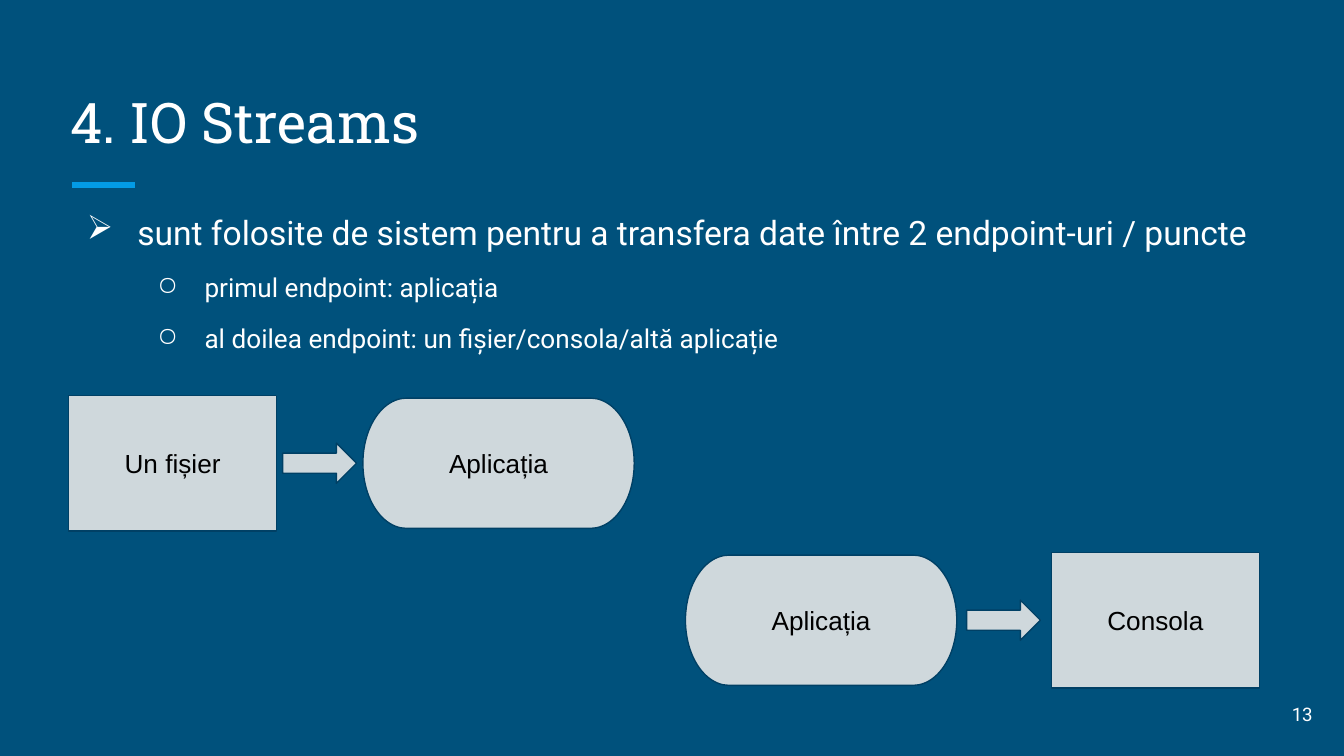
from lxml import etree
from pptx import Presentation
from pptx.dml.color import RGBColor
from pptx.enum import shapes, text
from pptx.oxml.ns import qn
from pptx.util import Pt

NAVY = RGBColor(0x00, 0x51, 0x7C)
OUTLINE = RGBColor(0x00, 0x40, 0x65)
ACCENT = RGBColor(0x03, 0x9B, 0xE5)
GREY = RGBColor(0xCF, 0xD8, 0xDC)
WHITE = RGBColor(0xFF, 0xFF, 0xFF)
BLACK = RGBColor(0, 0, 0)

TITLE = "4. IO Streams"
PAGE = "13"
# text, level, space before, space after
POINTS = [
    ("sunt folosite de sistem pentru a transfera date între 2 endpoint-uri / puncte", 0, 0, 0),
    ("primul endpoint: aplicația", 1, 8, 0),
    ("al doilea endpoint: un fișier/consola/altă aplicație", 1, 8, 8),
]
# level: bullet, size, left margin, first-line indent
LEVELS = [("➢", 18, 36, -27), ("○", 14, 72, -25.2)]

# kind: preset, width, height
KINDS = {
    "endpoint": (shapes.MSO_SHAPE.RECTANGLE, 111.6, 72.7),
    "app": (shapes.MSO_SHAPE.FLOWCHART_TERMINATOR, 145.4, 69.8),
    "arrow": (shapes.MSO_SHAPE.RIGHT_ARROW, 39.6, 21.6),
}
# centre line, then (kind, left, label) for each part
FLOWS = [
    (248.2, [("endpoint", 36.7, "Un fișier"), ("arrow", 151.4, ""), ("app", 194.4, "Aplicația")]),
    (332.3, [("app", 367.2, "Aplicația"), ("arrow", 517.8, ""), ("endpoint", 563.2, "Consola")]),
]


def set_frame(frame, anchor):
    frame.word_wrap = True
    frame.vertical_anchor = anchor
    frame.margin_left = frame.margin_right = Pt(7.2)
    frame.margin_top = frame.margin_bottom = Pt(7.2)


def set_font(paragraph, name, size, color):
    paragraph.font.name = name
    paragraph.font.size = Pt(size)
    paragraph.font.color.rgb = color


def add_text_box(slide, box, anchor):
    frame = slide.shapes.add_textbox(*map(Pt, box)).text_frame
    set_frame(frame, anchor)
    return frame


def set_bullet(paragraph, char, margin, indent):
    props = paragraph._p.get_or_add_pPr()
    props.set("marL", str(Pt(margin)))
    props.set("indent", str(Pt(indent)))
    color = etree.SubElement(props, qn("a:buClr"))
    etree.SubElement(color, qn("a:srgbClr"), val=str(WHITE))
    etree.SubElement(props, qn("a:buChar"), char=char)


def add_title(slide):
    title = add_text_box(slide, (30.5, 36, 659, 54), text.MSO_ANCHOR.BOTTOM).paragraphs[0]
    title.text = TITLE
    set_font(title, "Roboto Slab", 30, WHITE)
    rule = slide.shapes.add_connector(
        shapes.MSO_CONNECTOR.STRAIGHT, Pt(38.6), Pt(99.2), Pt(72.2), Pt(99.2))
    rule.line.color.rgb = ACCENT
    rule.line.width = Pt(3)
    etree.SubElement(rule._element.spPr, qn("a:effectLst"))


def add_points(slide):
    frame = add_text_box(slide, (30.5, 103, 659, 289.4), text.MSO_ANCHOR.TOP)
    for i, (words, level, before, after) in enumerate(POINTS):
        point = frame.add_paragraph() if i else frame.paragraphs[0]
        char, size, margin, indent = LEVELS[level]
        point.text = words
        point.level = level
        point.line_spacing = 1.15
        point.space_before = Pt(before)
        point.space_after = Pt(after)
        set_bullet(point, char, margin, indent)
        set_font(point, "Roboto", size, WHITE)


def add_flow_part(slide, kind, left, middle, label):
    preset, width, height = KINDS[kind]
    part = slide.shapes.add_shape(
        preset, Pt(left), Pt(middle - height / 2), Pt(width), Pt(height))
    part.shadow.inherit = False
    part.fill.solid()
    part.fill.fore_color.rgb = GREY
    part.line.color.rgb = OUTLINE
    part.line.width = Pt(0.75)
    if label:
        set_frame(part.text_frame, text.MSO_ANCHOR.MIDDLE)
        caption = part.text_frame.paragraphs[0]
        caption.text = label
        caption.alignment = text.PP_ALIGN.CENTER
        set_font(caption, "Arial", 14, BLACK)


def add_page_number(slide):
    number = add_text_box(slide, (667.1, 367.2, 43.2, 31), text.MSO_ANCHOR.MIDDLE).paragraphs[0]
    number.text = PAGE
    number.alignment = text.PP_ALIGN.RIGHT
    set_font(number, "Roboto", 10, WHITE)


def main():
    deck = Presentation()
    deck.slide_width, deck.slide_height = Pt(720), Pt(405)
    slide = deck.slides.add_slide(deck.slide_layouts[6])
    slide.background.fill.solid()
    slide.background.fill.fore_color.rgb = NAVY
    add_title(slide)
    add_points(slide)
    add_page_number(slide)
    for middle, parts in FLOWS:
        for kind, left, label in parts:
            add_flow_part(slide, kind, left, middle, label)
    deck.save("out.pptx")


if __name__ == "__main__":
    main()
